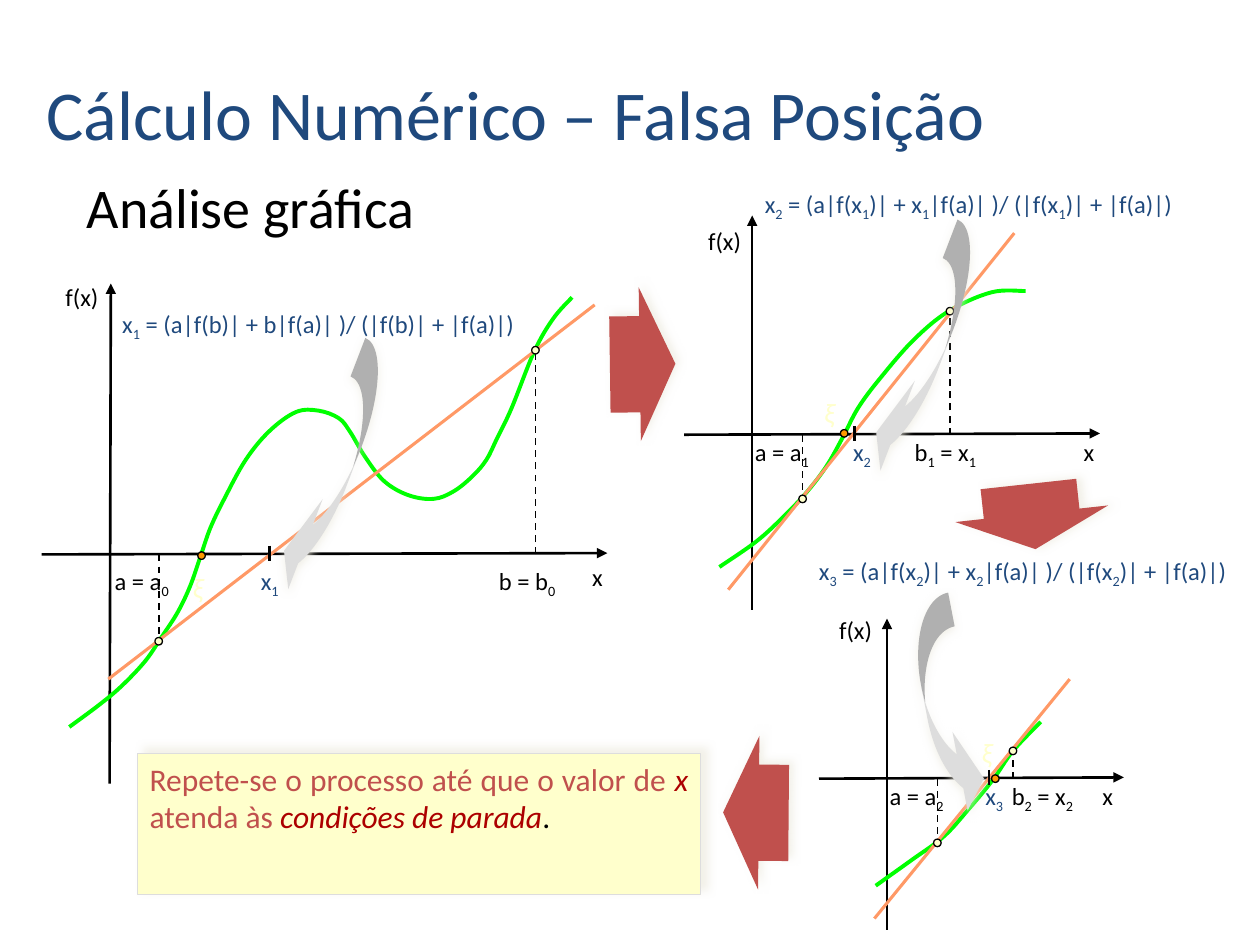
from dataclasses import dataclass
from typing import NamedTuple

from lxml.etree import SubElement
from pptx import Presentation
from pptx.dml.color import RGBColor
from pptx.enum.dml import MSO_LINE
from pptx.enum.shapes import MSO_CONNECTOR, MSO_SHAPE
from pptx.enum.text import MSO_ANCHOR, PP_ALIGN
from pptx.oxml.ns import qn
from pptx.util import Inches, Pt

COLORS = {
    "black": "000000", "navy": "1F497D", "red": "C0504D", "dark red": "AC0000",
    "curve": "00FF00", "secant": "FF9966", "root": "FF9900", "cream": "FFFFCC",
    "grey": "DDDDDD", "shadow": "EEECE1",
}
FONT = "Calibri"
COLUMNS, ROWS = 10, 7.5
DOT = 0.06

deck = Presentation()
deck.slide_width, deck.slide_height = Inches(10), Inches(7.5)
page = deck.slides.add_slide(deck.slide_layouts[5])

Point = tuple[float, float]


class Box(NamedTuple):
    left: float
    top: float
    width: float
    height: float


class Label(NamedTuple):
    text: str  # "_" lowers the character after it
    at: Point
    width: float
    color: str = "black"
    size: int = 14
    italic: bool = False


class Swoosh(NamedTuple):
    box: Box
    angle: float
    adjustments: tuple[float, ...]
    flipped: bool


@dataclass
class Plot:
    vertical: tuple[Point, Point]
    horizontal: tuple[Point, Point]
    curve: list[Point]
    secant: tuple[Point, Point]
    ends: list[Point]  # where the secant meets the curve
    root: Point
    estimate: Point
    labels: list[Label]
    swoosh: Swoosh


def col(value: float) -> int:
    return round(deck.slide_width * value / COLUMNS)


def row(value: float) -> int:
    return round(deck.slide_height * value / ROWS)


def place(box: Box) -> tuple[int, int, int, int]:
    return col(box.left), row(box.top), col(box.width), row(box.height)


def color(name: str) -> RGBColor:
    return RGBColor.from_string(COLORS[name])


def style(span, name: str, size: int, italic: bool = False) -> None:
    span.font.name, span.font.size, span.font.italic = FONT, Pt(size), italic
    span.font.color.rgb = color(name)


def draw_line(start: Point, end: Point, name: str = "black", width: float = 1.5,
              dashed: bool = False, arrow: bool = False) -> None:
    line = page.shapes.add_connector(MSO_CONNECTOR.STRAIGHT, col(start[0]), row(start[1]),
                                     col(end[0]), row(end[1]))
    line.line.color.rgb, line.line.width = color(name), Pt(width)
    if dashed:
        line.line.dash_style = MSO_LINE.DASH
    if arrow:
        SubElement(line.line._get_or_add_ln(), qn("a:headEnd"), type="triangle")
    SubElement(line._element.spPr, qn("a:effectLst"))


def draw_shape(kind: MSO_SHAPE, box: Box, fill: str, outline: str = "", angle: float = 0,
               flipped: bool = False, adjustments: tuple[float, ...] = (),
               shadow: tuple[float, float] | None = None):
    shape = page.shapes.add_shape(kind, *place(box))
    shape.fill.solid()
    shape.fill.fore_color.rgb = color(fill)
    if outline:
        shape.line.color.rgb, shape.line.width = color(outline), Pt(0.75)
    else:
        shape.line.fill.background()
    shape.rotation = angle
    if flipped:
        shape._element.spPr.find(qn("a:xfrm")).set("flipH", "1")
    for index, value in enumerate(adjustments):
        shape.adjustments[index] = value
    shape.shadow.inherit = False
    if shadow:
        distance, direction = shadow
        effects = shape._element.spPr.find(qn("a:effectLst"))
        outer = SubElement(effects, qn("a:outerShdw"), blurRad=str(Pt(5)), dist=str(Pt(distance)),
                           dir=str(round(direction * 60000)), rotWithShape="0")
        tint = SubElement(outer, qn("a:srgbClr"), val=COLORS["shadow"])
        SubElement(tint, qn("a:alpha"), val="75000")
    return shape


def draw_dot(center: Point, fill: str) -> None:
    box = Box(center[0] - DOT / 2, center[1] - DOT / 2, DOT, DOT)
    draw_shape(MSO_SHAPE.OVAL, box, fill, "black")


def draw_label(label: Label) -> None:
    frame = page.shapes.add_textbox(*place(Box(*label.at, label.width, 0.23))).text_frame
    frame.margin_left = frame.margin_right = frame.margin_top = frame.margin_bottom = 0
    frame.word_wrap = False
    para = frame.paragraphs[0]
    first, *others = label.text.split("_")
    pieces = [(first, False)]
    for part in others:
        pieces += [(part[0], True), (part[1:], False)]
    for text, lowered in pieces:
        if text:
            span = para.add_run()
            span.text = text
            style(span, label.color, label.size, label.italic)
            if lowered:
                span.font._element.set("baseline", "-25000")


def bend(outline) -> None:
    """Turn the straight segments of an outline into one smooth run of Bézier arcs."""
    knots = [(int(pt.get("x")), int(pt.get("y"))) for pt in outline.iter(qn("a:pt"))]
    for segment in outline.findall(qn("a:lnTo")):
        outline.remove(segment)
    padded = [knots[0], *knots, knots[-1]]
    for before, start, end, after in zip(padded, padded[1:], padded[2:], padded[3:]):
        leave = [q + (r - p) / 6 for p, q, r in zip(before, start, end)]
        arrive = [r - (s - q) / 6 for q, r, s in zip(start, end, after)]
        arc = SubElement(outline, qn("a:cubicBezTo"))
        for x, y in (leave, arrive, end):
            SubElement(arc, qn("a:pt"), x=str(round(x)), y=str(round(y)))


def draw_curve(knots: list[Point]) -> None:
    first, *rest = [(col(x), row(y)) for x, y in knots]
    builder = page.shapes.build_freeform(*first)
    builder.add_line_segments(rest, close=False)
    curve = builder.convert_to_shape()
    bend(next(curve._element.iter(qn("a:path"))))
    curve.fill.background()
    curve.line.color.rgb, curve.line.width = color("curve"), Pt(2.25)
    curve.shadow.inherit = False


def draw_plot(plot: Plot) -> None:
    for axis in (plot.vertical, plot.horizontal):
        draw_line(*axis, arrow=True)
    for label in plot.labels:
        draw_label(label)
    draw_curve(plot.curve)
    level = plot.horizontal[1][1]
    for x, y in plot.ends:
        draw_line((x, level), (x, y), width=1, dashed=True)
    draw_line(*plot.secant, name="secant", width=1.75)
    x, y = plot.estimate
    draw_line((x, y - DOT), (x, y + DOT))
    for end in plot.ends:
        draw_dot(end, "cream")
    swoosh = plot.swoosh
    draw_shape(MSO_SHAPE.CURVED_RIGHT_ARROW, swoosh.box, "grey", angle=swoosh.angle,
               flipped=swoosh.flipped, adjustments=swoosh.adjustments, shadow=(2.1, 90))
    draw_dot(plot.root, "root")


def plot_labels(step: int, formula: Label, f: Point, a: Point, b: Label, x: Point,
                estimate: Point, xi: Point) -> list[Label]:
    return [formula, b, Label("f(x)", f, 0.3), Label(f"a = a_{step}", a, 0.61),
            Label("x", x, 0.16), Label(f"x_{step + 1}", estimate, 0.18, "navy"),
            Label("ξ", xi, 0.16, "cream", 16, True)]


# Title and subtitle
title = page.shapes.title
title.left, title.top, title.width, title.height = place(Box(0.27, 0.28, 9.54, 1))
subtitle = page.shapes.add_textbox(*place(Box(0.59, 1.31, 4.17, 0.64)))
for heading, text, name, size in ((title, "Cálculo Numérico – Falsa Posição", "navy", 40),
                                  (subtitle, "Análise gráfica", "black", 32)):
    frame = heading.text_frame
    frame.text, frame.word_wrap, frame.vertical_anchor = text, True, MSO_ANCHOR.BOTTOM
    frame.paragraphs[0].alignment = PP_ALIGN.LEFT
    style(frame.paragraphs[0].runs[0], name, size)

# The three steps of the method
LONG = (1.168, 2.728, 0.5)
plots = [
    Plot(((0.88, 2.25), (0.87, 6.22)), ((4.82, 4.39), (0.33, 4.4)),
         [(0.55, 5.77), (0.78, 5.6), (0.96, 5.45), (1.15, 5.25), (1.28, 5.06), (1.41, 4.86),
          (1.51, 4.65), (1.59, 4.42), (1.67, 4.19), (1.78, 3.96), (1.95, 3.65), (2.14, 3.42),
          (2.35, 3.27), (2.53, 3.26), (2.69, 3.32), (2.78, 3.43), (2.9, 3.63), (3.05, 3.82),
          (3.24, 3.93), (3.44, 3.96), (3.6, 3.9), (3.75, 3.78), (3.86, 3.65), (3.94, 3.49),
          (4.06, 3.24), (4.24, 2.79), (4.39, 2.53), (4.54, 2.36)],
         ((0.86, 5.39), (4.72, 2.42)), [(1.26, 5.09), (4.25, 2.78)], (1.6, 4.41), (2.14, 4.39),
         plot_labels(0, Label("x_1 = (a|f(b)| + b|f(a)| )/ (|f(b)| + |f(a)|)", (0.97, 2.45), 3.33, "navy"),
                     (0.52, 2.24), (0.91, 4.49), Label("b = b_0", (3.96, 4.49), 0.61),
                     (4.7, 4.46), (2.07, 4.49), (1.53, 4.53)),
         Swoosh(Box(2.5, 2.66, 0.28, 2.19), 20.9, LONG, True)),
    Plot(((5.97, 1.71), (5.97, 4.84)), ((8.73, 3.44), (5.43, 3.45)),
         [(5.71, 4.5), (6, 4.3), (6.21, 4.11), (6.4, 3.91), (6.56, 3.7), (6.69, 3.47),
          (6.81, 3.24), (6.98, 3.01), (7.25, 2.7), (7.53, 2.47), (7.87, 2.32), (8.14, 2.31)],
         ((5.78, 4.68), (8.05, 1.85)), [(6.37, 3.96), (7.54, 2.47)], (6.7, 3.44), (6.78, 3.44),
         plot_labels(1, Label("x_2 = (a|f(x_1)| + x_1|f(a)| )/ (|f(x_1)| + |f(a)|)", (6.07, 1.5), 3.33, "navy"),
                     (5.62, 1.79), (5.99, 3.47), Label("b_1 = x_1", (7.26, 3.47), 0.61),
                     (8.6, 3.47), (6.77, 3.47), (6.54, 3.14)),
         Swoosh(Box(7.2, 1.72, 0.28, 2.19), 20.9, LONG, True)),
    Plot(((7.04, 4.91), (7.04, 7.38)), ((8.92, 6.17), (6.5, 6.18)),
         [(6.95, 7.03), (7.23, 6.83), (7.49, 6.64), (7.69, 6.42), (7.88, 6.19), (8.04, 5.96),
          (8.26, 5.73)],
         ((6.94, 7.29), (8.49, 5.39)), [(7.44, 6.69), (8.04, 5.96)], (7.9, 6.18), (7.85, 6.17),
         plot_labels(2, Label("x_3 = (a|f(x_2)| + x_2|f(a)| )/ (|f(x_2)| + |f(a)|)", (6.5, 4.41), 3.33, "navy"),
                     (6.66, 4.88), (7.06, 6.2), Label("b_2 = x_2", (8.03, 6.2), 0.61),
                     (8.75, 6.2), (7.82, 6.2), (7.79, 5.84)),
         Swoosh(Box(7.35, 4.72, 0.35, 1.82), 349.1, (0.779, 1.819, 0.5), False)),
]
for plot in plots:
    draw_plot(plot)

# Block arrows between the steps
for left, top, angle, shadow in ((4.84, 2.28, 179.2, (2.9, 317)), (7.93, 3.49, 263.8, (3.2, 342)),
                                 (5.74, 5.84, 0.5, (2.9, 317))):
    draw_shape(MSO_SHAPE.RIGHT_ARROW, Box(left, top, 0.52, 1.22), "red", angle=angle,
               flipped=True, adjustments=(0.626, 0.543), shadow=shadow)

# Closing note
note = draw_shape(MSO_SHAPE.RECTANGLE, Box(1.09, 5.98, 4.47, 1.12), "cream", "grey", shadow=(5, 323))
note.text_frame.word_wrap, note.text_frame.vertical_anchor = True, MSO_ANCHOR.TOP
para = note.text_frame.paragraphs[0]
para.alignment = PP_ALIGN.JUSTIFY
for text, name, italic in (("Repete-se o processo até que o valor de ", "red", False),
                           ("x ", "dark red", True), ("atenda às ", "red", False),
                           ("condições de parada", "dark red", True), (".", "black", False)):
    span = para.add_run()
    span.text = text
    style(span, name, 18, italic)

deck.save("out.pptx")
